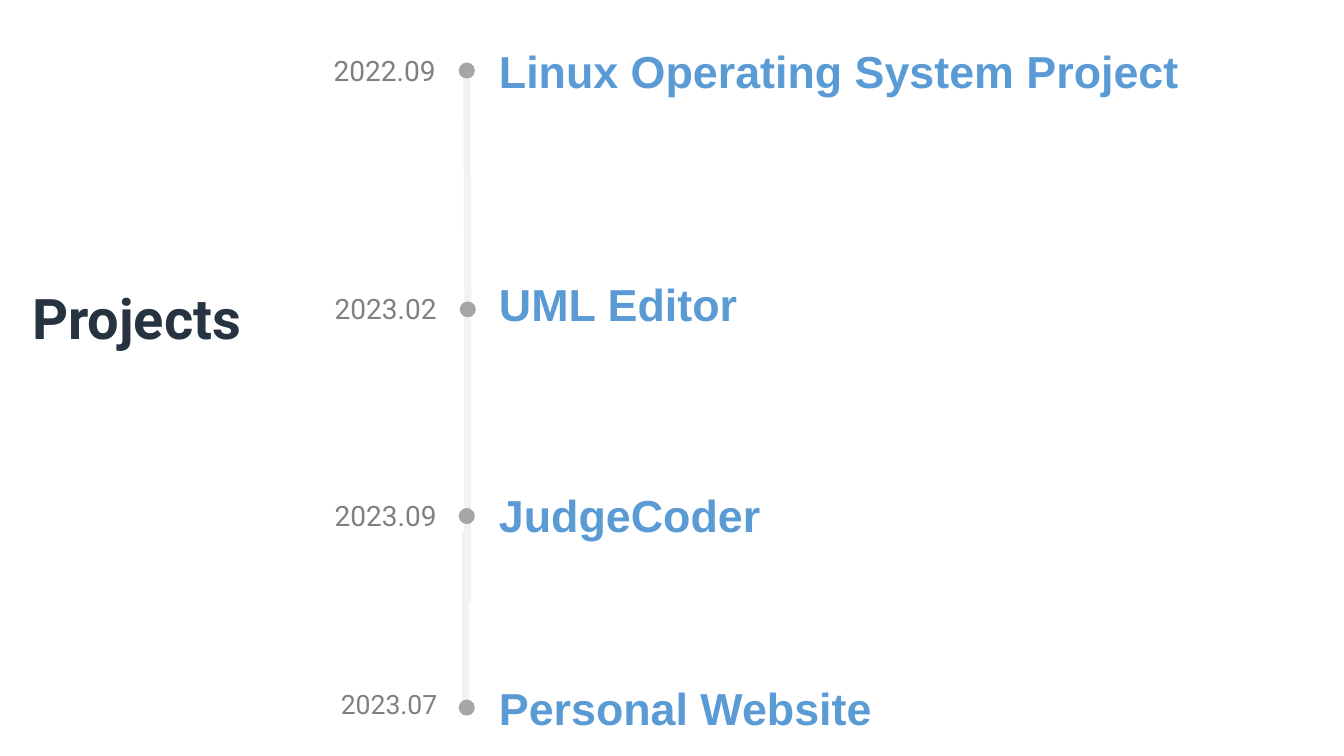
from dataclasses import dataclass

from lxml.etree import SubElement
from pptx import Presentation
from pptx.dml.color import RGBColor
from pptx.enum.shapes import MSO_CONNECTOR, MSO_SHAPE
from pptx.enum.text import MSO_AUTO_SIZE, PP_ALIGN
from pptx.oxml.ns import qn
from pptx.slide import Slide
from pptx.util import Inches, Pt

BLUE = "5B9BD5"
NAVY = "273341"
GREY = "808080"
DOT = "A6A6A6"
RAIL = "F2F2F2"
DOT_SIZE = 0.16
TITLE_LEFT = 4.85


@dataclass(frozen=True)
class Style:
    font: str
    size: int
    color: str
    bold: bool = False
    align: PP_ALIGN = PP_ALIGN.LEFT


@dataclass(frozen=True)
class Box:
    left: float
    top: float
    width: float
    height: float


@dataclass(frozen=True)
class Entry:
    title: str
    title_top: float
    date: str
    date_box: Box
    dot_left: float
    dot_top: float
    date_style: Style


@dataclass(frozen=True)
class Rail:
    start_x: float
    start_y: float
    end_x: float
    end_y: float


HEAD = Style("Roboto", 40, NAVY, bold=True)
TITLE = Style("Arial", 32, BLUE, bold=True)
DATE = Style("Roboto", 20, GREY, align=PP_ALIGN.RIGHT)
LAST_DATE = Style("Roboto", 19, GREY, align=PP_ALIGN.CENTER)

RAILS = [
    Rail(4.63, 0.78, 4.64, 2.99),
    Rail(4.64, 3.15, 4.64, 5.98),
    Rail(4.62, 5.27, 4.62, 7),
]

ENTRIES = [
    Entry("Linux Operating System Project", 0.38, "2022.09",
          Box(3.12, 0.48, 1.3, 0.44), 4.55, 0.62, DATE),
    Entry("UML Editor", 2.7, "2023.02",
          Box(3.13, 2.84, 1.3, 0.44), 4.56, 2.99, DATE),
    Entry("JudgeCoder", 4.79, "2023.09",
          Box(3.13, 4.9, 1.3, 0.44), 4.55, 5.04, DATE),
    Entry("Personal Website", 6.7, "2023.07",
          Box(3.21, 6.78, 1.3, 0.42), 4.55, 6.94, LAST_DATE),
]


def color(code: str) -> RGBColor:
    return RGBColor.from_string(code)


def add_text(slide: Slide, text: str, box: Box, style: Style) -> None:
    shape = slide.shapes.add_textbox(
        Inches(box.left), Inches(box.top), Inches(box.width), Inches(box.height))
    frame = shape.text_frame
    frame.word_wrap = True
    frame.auto_size = MSO_AUTO_SIZE.SHAPE_TO_FIT_TEXT
    line = frame.paragraphs[0]
    line.text = text
    line.alignment = style.align
    line.font.name = style.font
    line.font.size = Pt(style.size)
    line.font.bold = style.bold
    line.font.color.rgb = color(style.color)


def add_rail(slide: Slide, rail: Rail) -> None:
    line = slide.shapes.add_connector(
        MSO_CONNECTOR.STRAIGHT, Inches(rail.start_x), Inches(rail.start_y),
        Inches(rail.end_x), Inches(rail.end_y))
    line.line.color.rgb = color(RAIL)
    line.line.width = Pt(5)
    SubElement(line._element.spPr, qn("a:effectLst"))


def add_dot(slide: Slide, left: float, top: float) -> None:
    dot = slide.shapes.add_shape(
        MSO_SHAPE.OVAL, Inches(left), Inches(top),
        Inches(DOT_SIZE), Inches(DOT_SIZE))
    dot.shadow.inherit = False
    dot.fill.solid()
    dot.fill.fore_color.rgb = color(DOT)
    dot.line.fill.background()


def add_entry(slide: Slide, entry: Entry) -> None:
    add_dot(slide, entry.dot_left, entry.dot_top)
    add_text(slide, entry.date, entry.date_box, entry.date_style)
    add_text(slide, entry.title,
             Box(TITLE_LEFT, entry.title_top, 7.72, 0.64), TITLE)


def main() -> None:
    deck = Presentation()
    deck.slide_width = Inches(13.33)
    deck.slide_height = Inches(7.5)
    slide = deck.slides.add_slide(deck.slide_layouts[6])
    for rail in RAILS:
        add_rail(slide, rail)
    add_text(slide, "Projects", Box(0.22, 2.76, 4.03, 0.77), HEAD)
    for entry in ENTRIES:
        add_entry(slide, entry)
    deck.save("out.pptx")


if __name__ == "__main__":
    main()
